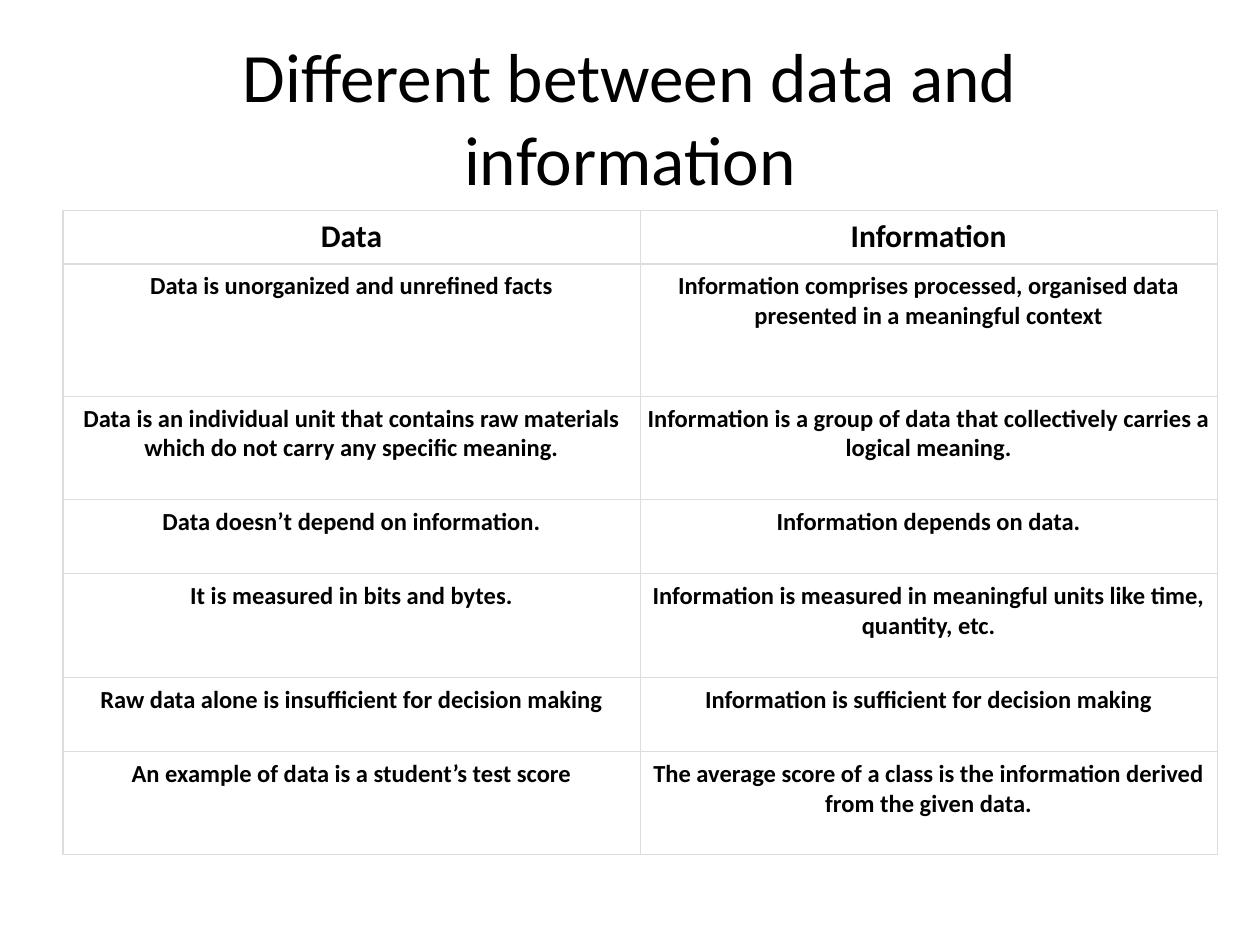
from dataclasses import dataclass

from lxml.etree import SubElement
from pptx import Presentation
from pptx.dml.color import RGBColor
from pptx.enum.text import MSO_ANCHOR, MSO_AUTO_SIZE, PP_ALIGN
from pptx.oxml.ns import qn
from pptx.util import Inches, Pt


@dataclass(frozen=True)
class Theme:
    font: str = "Calibri"
    ink: str = "000000"
    paper: str = "FFFFFF"
    rule: str = "DDDDDD"
    rule_width: float = 0.75
    title: float = 39.6
    head: float = 18
    body: float = 14


@dataclass(frozen=True)
class Row:
    data: str
    info: str
    height: float
    size: float


THEME = Theme()
PAD = Inches(0.06)
COL = Inches(4.58)
# Row heights by the space the text needs
HEAD, SHORT, MID, TALL = 0.42, 0.59, 0.82, 1.05

ROWS = [
    Row("Data", "Information", HEAD, THEME.head),
    Row("Data is unorganized and unrefined facts",
        "Information comprises processed, organised data presented in a meaningful context",
        TALL, THEME.body),
    Row("Data is an individual unit that contains raw materials which do not carry any specific meaning.",
        "Information is a group of data that collectively carries a logical meaning.",
        MID, THEME.body),
    Row("Data doesn’t depend on information.", "Information depends on data.",
        SHORT, THEME.body),
    Row("It is measured in bits and bytes.",
        "Information is measured in meaningful units like time, quantity, etc.",
        MID, THEME.body),
    Row("Raw data alone is insufficient for decision making",
        "Information is sufficient for decision making",
        SHORT, THEME.body),
    Row("An example of data is a student’s test score",
        "The average score of a class is the information derived from the given data.",
        MID, THEME.body),
]


def write(frame, text: str, size: float, bold: bool = False) -> None:
    """Put one centred run in a text frame."""
    para = frame.paragraphs[0]
    para.alignment = PP_ALIGN.CENTER
    run = para.add_run()
    run.text = text
    run.font.name = THEME.font
    run.font.size = Pt(size)
    run.font.bold = bold
    run.font.color.rgb = RGBColor.from_string(THEME.ink)


def border(cell) -> None:
    """Rule all four sides of a cell."""
    props = cell._tc.get_or_add_tcPr()
    for side in ("lnL", "lnR", "lnT", "lnB"):
        line = SubElement(props, qn(f"a:{side}"), w=str(Pt(THEME.rule_width)))
        fill = SubElement(line, qn("a:solidFill"))
        SubElement(fill, qn("a:srgbClr"), val=THEME.rule)


def draw_cell(cell, text: str, size: float) -> None:
    border(cell)
    cell.fill.solid()
    cell.fill.fore_color.rgb = RGBColor.from_string(THEME.paper)
    cell.margin_left = cell.margin_right = PAD
    cell.margin_top = cell.margin_bottom = PAD
    write(cell.text_frame, text, size, bold=True)


def draw_title(slide, text: str) -> None:
    title = slide.shapes.title
    title.left, title.top = Inches(0.5), Inches(0.3)
    title.width, title.height = Inches(9), Inches(1.25)
    frame = title.text_frame
    frame.auto_size = MSO_AUTO_SIZE.NONE
    frame.vertical_anchor = MSO_ANCHOR.MIDDLE
    write(frame, text, THEME.title)


def draw_table(slide, rows: list[Row]) -> None:
    high = Inches(sum(row.height for row in rows))
    table = slide.shapes.add_table(
        len(rows), 2, Inches(0.5), Inches(1.67), 2 * COL, high).table
    for col in table.columns:
        col.width = COL
    for i, row in enumerate(rows):
        table.rows[i].height = Inches(row.height)
        for j, text in enumerate((row.data, row.info)):
            draw_cell(table.cell(i, j), text, row.size)


def main() -> None:
    deck = Presentation()
    deck.slide_width, deck.slide_height = Inches(10), Inches(7.5)
    slide = deck.slides.add_slide(deck.slide_layouts.get_by_name("Title Only"))
    # Heading
    draw_title(slide, "Different between data and information")
    # Comparison
    draw_table(slide, ROWS)
    deck.save("out.pptx")


if __name__ == "__main__":
    main()
